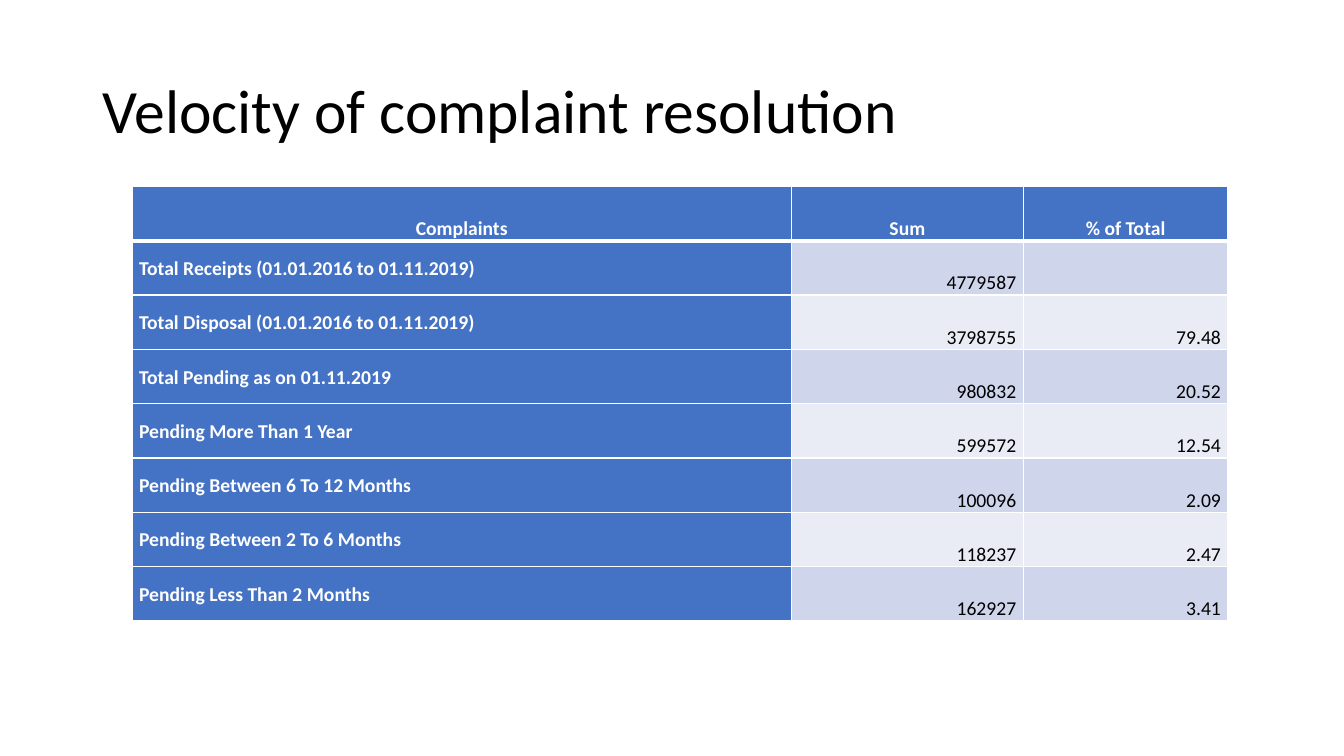
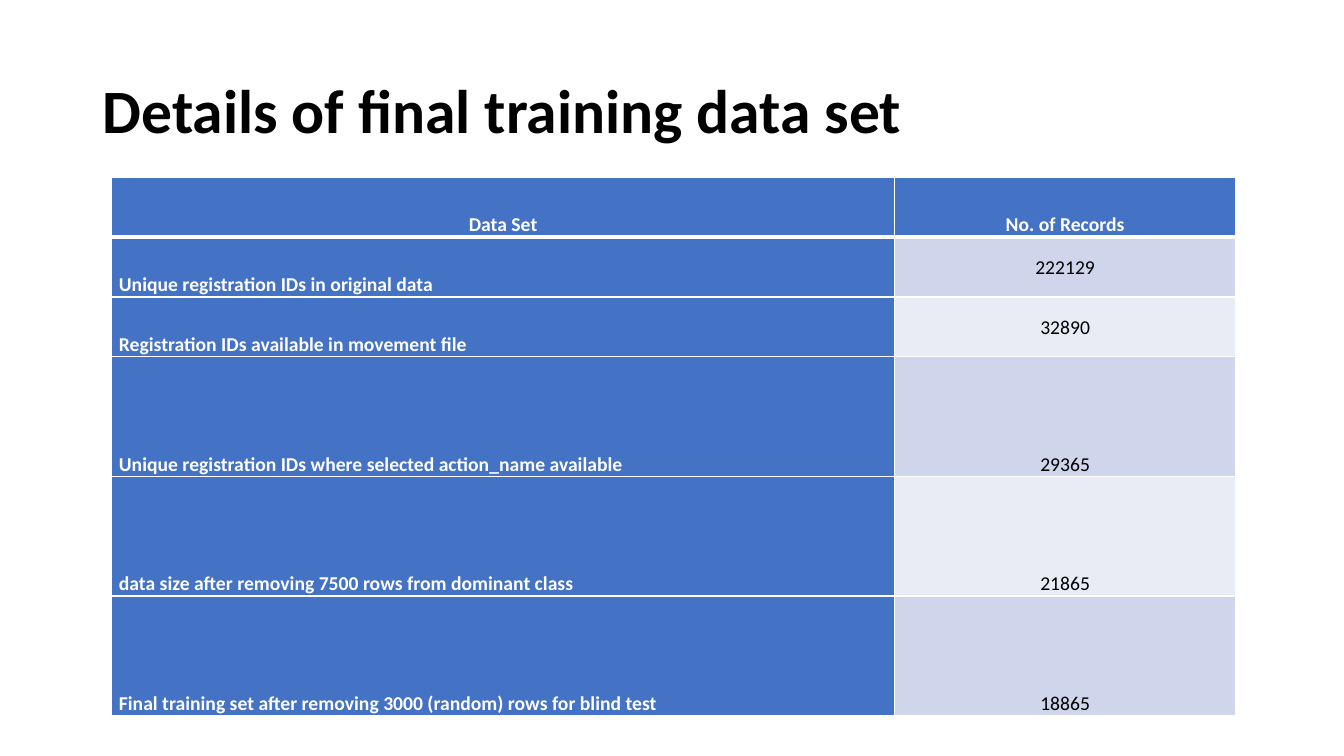
"""Build two slides, each a title above a banded table."""
from dataclasses import dataclass

import pptx
import pptx.dml.color
import pptx.enum.text
import pptx.oxml
import pptx.oxml.ns
import pptx.util
from pptx.util import Inches

ALIGN = pptx.enum.text.PP_ALIGN
ANCHOR = pptx.enum.text.MSO_ANCHOR


@dataclass(frozen=True)
class Theme:
    """Colours, type and line widths shared by the slides."""
    font: str = "Calibri"
    title_size: int = 44
    table_size: int = 14
    ink: str = "000000"
    paper: str = "FFFFFF"
    accent: str = "4472C4"
    bands: tuple = ("CFD5EA", "E9EBF5")
    thin: int = 1
    thick: int = 3


THEME = Theme()


def rgb(value):
    """Turn a hex string into a colour."""
    return pptx.dml.color.RGBColor.from_string(value)


def style_paragraph(para, size, color, bold, spacing, align=ALIGN.LEFT):
    """Set the font, alignment and line spacing of a paragraph."""
    para.alignment = align
    para.line_spacing = spacing
    para.font.name = THEME.font
    para.font.size = pptx.util.Pt(size)
    para.font.bold = bold
    para.font.color.rgb = rgb(color)


def add_title(page, text, bold=False):
    """Add the slide title."""
    box = page.shapes.add_textbox(Inches(0.92), Inches(0.4), Inches(11.5), Inches(1.45))
    frame = box.text_frame
    frame.word_wrap = True
    frame.vertical_anchor = ANCHOR.MIDDLE
    para = frame.paragraphs[0]
    para.text = text
    style_paragraph(para, THEME.title_size, THEME.ink, bold, 0.9)


def add_borders(cell, top, bottom):
    """Draw the four cell borders; call this before filling the cell."""
    properties = cell._tc.get_or_add_tcPr()
    widths = {"lnL": THEME.thin, "lnR": THEME.thin, "lnT": top, "lnB": bottom}
    for side, width in widths.items():
        properties.append(pptx.oxml.parse_xml(
            f'<a:{side} {pptx.oxml.ns.nsdecls("a")} w="{pptx.util.Pt(width)}">'
            f'<a:solidFill><a:srgbClr val="{THEME.paper}"/></a:solidFill></a:{side}>'))


def fill_cell(cell, text, row, column, align, anchor):
    """Write one cell, styled as heading, row label or banded value."""
    strong = row == 0 or column == 0
    add_borders(cell, THEME.thick if row == 1 else THEME.thin,
                THEME.thick if row == 0 else THEME.thin)
    cell.fill.solid()
    cell.fill.fore_color.rgb = rgb(THEME.accent if strong else THEME.bands[(row - 1) % 2])
    cell.margin_left = cell.margin_right = Inches(0.07)
    cell.margin_top = cell.margin_bottom = 0
    cell.vertical_anchor = anchor
    para = cell.text_frame.paragraphs[0]
    para.text = text
    style_paragraph(para, THEME.table_size, THEME.paper if strong else THEME.ink,
                    strong, 1.07, align)


def add_data_table(page, left, top, widths, heights, rows, value_align, middle_cells):
    """Add a table; middle_cells holds the (row, column) pairs centred vertically."""
    table = page.shapes.add_table(
        len(rows), len(widths), Inches(left), Inches(top),
        Inches(sum(widths)), Inches(sum(heights))).table
    for column, width in zip(table.columns, widths):
        column.width = Inches(width)
    for line, height in zip(table.rows, heights):
        line.height = Inches(height)
    for row, texts in enumerate(rows):
        for column, text in enumerate(texts):
            if row == 0:
                align = ALIGN.CENTER
            else:
                align = ALIGN.LEFT if column == 0 else value_align
            anchor = ANCHOR.MIDDLE if (row, column) in middle_cells else ANCHOR.BOTTOM
            fill_cell(table.cell(row, column), text, row, column, align, anchor)


def add_velocity_slide(deck):
    """Show how many complaints were resolved or are pending."""
    page = deck.slides.add_slide(deck.slide_layouts[6])
    add_title(page, "Velocity of complaint resolution")
    rows = [
        ("Complaints", "Sum", "% of Total"),
        ("Total Receipts (01.01.2016 to 01.11.2019)", "4779587", ""),
        ("Total Disposal (01.01.2016 to 01.11.2019)", "3798755", "79.48"),
        ("Total Pending as on 01.11.2019", "980832", "20.52"),
        ("Pending More Than 1 Year", "599572", "12.54"),
        ("Pending Between 6 To 12 Months", "100096", "2.09"),
        ("Pending Between 2 To 6 Months", "118237", "2.47"),
        ("Pending Less Than 2 Months", "162927", "3.41"),
    ]
    labels = {(row, 0) for row in range(1, len(rows))}
    add_data_table(page, 1.31, 1.85, (6.54, 2.3, 2.03), [4.31 / len(rows)] * len(rows),
                   rows, ALIGN.RIGHT, labels)


def add_training_slide(deck):
    """Show how the training data set was narrowed down."""
    page = deck.slides.add_slide(deck.slide_layouts[6])
    add_title(page, "Details of final training data set", bold=True)
    rows = [
        ("Data Set", "No. of Records"),
        ("Unique registration IDs in original data", "222129"),
        ("Registration IDs available in movement file", "32890"),
        ("Unique registration IDs where selected action_name available", "29365"),
        ("data size after removing 7500 rows from dominant class", "21865"),
        ("Final training set after removing 3000 (random) rows for blind test", "18865"),
    ]
    unit = 5.34 / 9
    add_data_table(page, 1.11, 1.76, (7.76, 3.39), [unit] * 3 + [2 * unit] * 3,
                   rows, ALIGN.CENTER, {(1, 1), (2, 1)})


def main():
    """Build and save the deck."""
    deck = pptx.Presentation()
    deck.slide_width = Inches(13.33)
    deck.slide_height = Inches(7.5)
    add_velocity_slide(deck)
    add_training_slide(deck)
    deck.save("out.pptx")


main()
